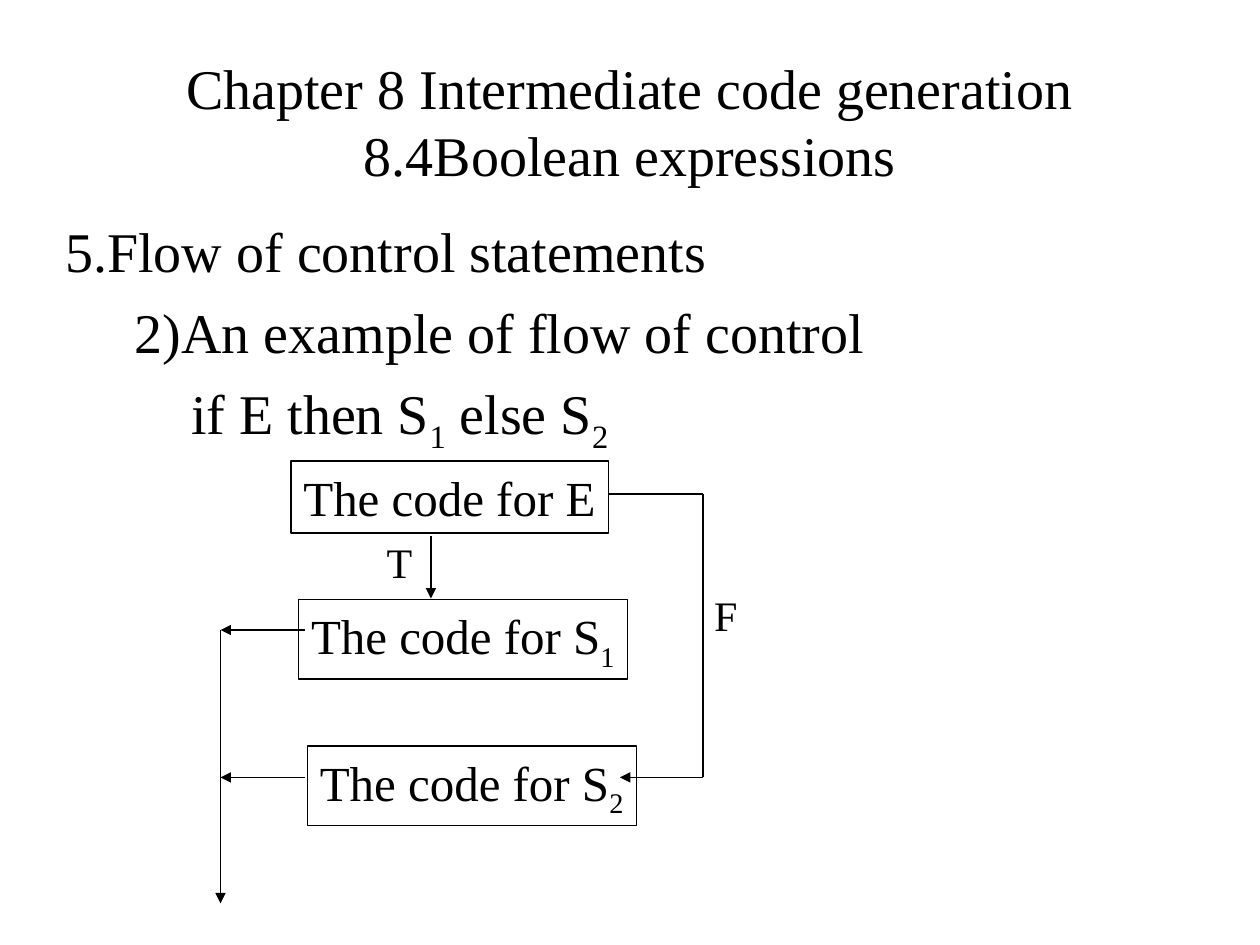
from pptx import Presentation
from pptx.dml.color import RGBColor
from pptx.enum.shapes import MSO_CONNECTOR, MSO_SHAPE
from pptx.enum.text import MSO_ANCHOR, PP_ALIGN
from pptx.oxml.ns import qn
from pptx.util import Inches, Pt
from lxml.etree import SubElement

BLACK = RGBColor(0, 0, 0)
FONT = "Times New Roman"


def write(para, text, size):
    """Fill a paragraph; a digit after "_" becomes a subscript."""
    for i, part in enumerate(text.split("_")):
        pieces = [(part, False)] if i == 0 else [(part[0], True), (part[1:], False)]
        for piece, sub in pieces:
            if not piece:
                continue
            run = para.add_run()
            run.text = piece
            run.font.name = FONT
            run.font.size = Pt(size)
            run.font.color.rgb = BLACK
            if sub:
                run.font._element.set("baseline", "-25000")


def draw_line(start, end, arrow):
    line = slide.shapes.add_connector(
        MSO_CONNECTOR.STRAIGHT, *[Inches(v) for v in (*start, *end)])
    line.line.color.rgb = BLACK
    line.line.width = Pt(0.75)
    props = line._element.spPr
    if arrow:
        SubElement(props.find(qn("a:ln")), qn("a:tailEnd"), type="triangle")
    SubElement(props, qn("a:effectLst"))


prs = Presentation()
prs.slide_width = Inches(10)
prs.slide_height = Inches(7.5)
slide = prs.slides.add_slide(prs.slide_layouts[6])

# Title
title = slide.shapes.add_textbox(Inches(0.75), Inches(0.17), Inches(8.5), Inches(1.58))
frame = title.text_frame
frame.word_wrap = True
frame.vertical_anchor = MSO_ANCHOR.MIDDLE
frame.paragraphs[0].alignment = PP_ALIGN.CENTER
write(frame.paragraphs[0],
      "Chapter 8 Intermediate code generation 8.4Boolean expressions", 32)

# Outline, each level with its indent
outline = [
    ("5.Flow of control statements", 0),
    ("2)An example of flow of control", 0.55),
    ("if E then S_1 else S_2", 1),
]
body = slide.shapes.add_textbox(Inches(0.42), Inches(1.67), Inches(9.58), Inches(5))
frame = body.text_frame
frame.word_wrap = True
for i, (text, indent) in enumerate(outline):
    para = frame.add_paragraph() if i else frame.paragraphs[0]
    if i:
        para.space_before = Pt(8)
    para._p.get_or_add_pPr().set("marL", str(Inches(indent)))
    write(para, text, 32)

# Code blocks
blocks = [
    ("The code for E", 2.31, 3.66, 2.52, 0.57),
    ("The code for S_1", 2.37, 4.76, 2.61, 0.63),
    ("The code for S_2", 2.44, 5.92, 2.61, 0.63),
]
for text, *place in blocks:
    box = slide.shapes.add_shape(MSO_SHAPE.RECTANGLE, *[Inches(v) for v in place])
    box.shadow.inherit = False
    box.fill.background()
    box.line.color.rgb = BLACK
    box.line.width = Pt(0.75)
    frame = box.text_frame
    frame.word_wrap = False
    frame.vertical_anchor = MSO_ANCHOR.TOP
    frame.paragraphs[0].alignment = PP_ALIGN.LEFT
    write(frame.paragraphs[0], text, 28)

# Flow of control
exit_x, false_x = 1.75, 5.58
flows = [
    ((4.83, 3.92), (false_x, 3.92), False),
    ((false_x, 3.92), (false_x, 6.17), False),
    ((false_x, 6.17), (4.92, 6.17), True),
    ((2.42, 5), (exit_x, 5), True),
    ((exit_x, 5), (exit_x, 7.17), True),
    ((2.42, 6.17), (exit_x, 6.17), True),
    ((3.42, 4.25), (3.42, 4.75), True),
]
for start, end, arrow in flows:
    draw_line(start, end, arrow)

# Branch labels
for text, left, top, width in [("T", 2.97, 4.21, 0.4), ("F", 5.57, 4.63, 0.38)]:
    label = slide.shapes.add_textbox(Inches(left), Inches(top), Inches(width), Inches(0.5))
    label.text_frame.word_wrap = False
    write(label.text_frame.paragraphs[0], text, 24)

prs.save("out.pptx")
